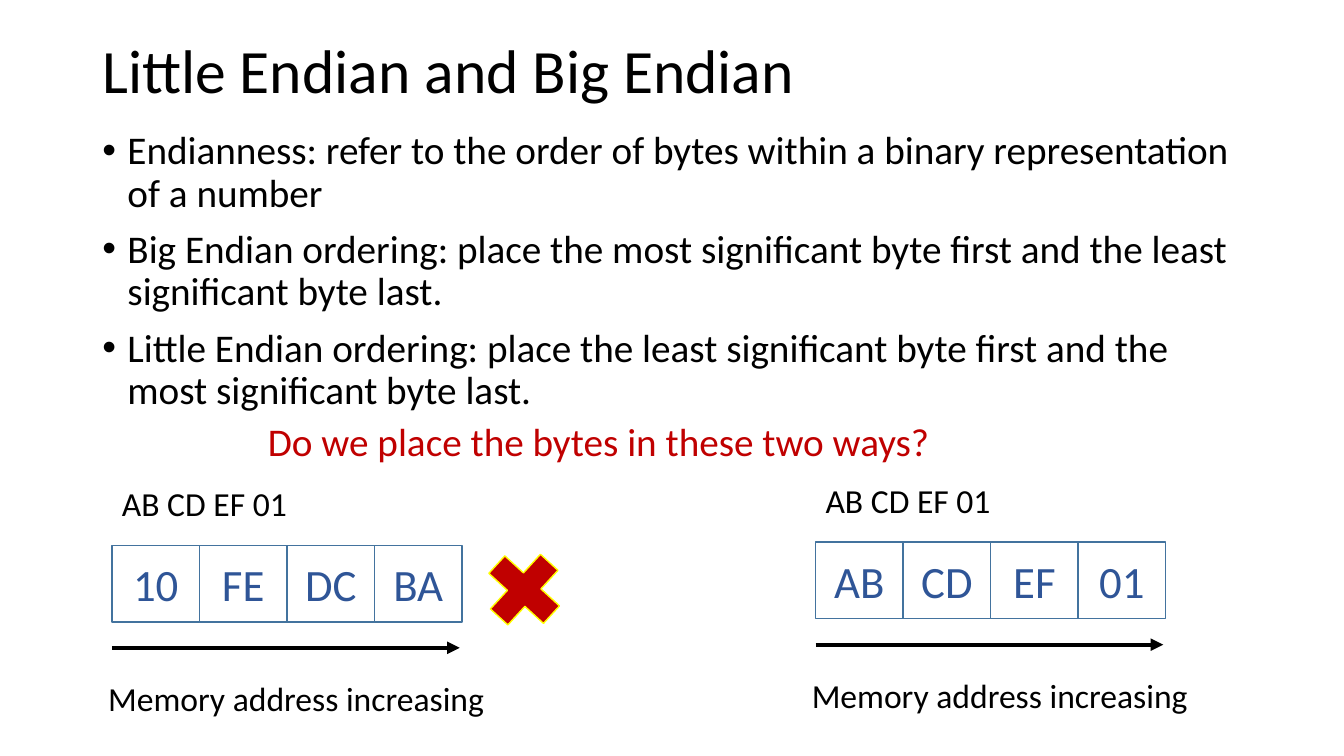
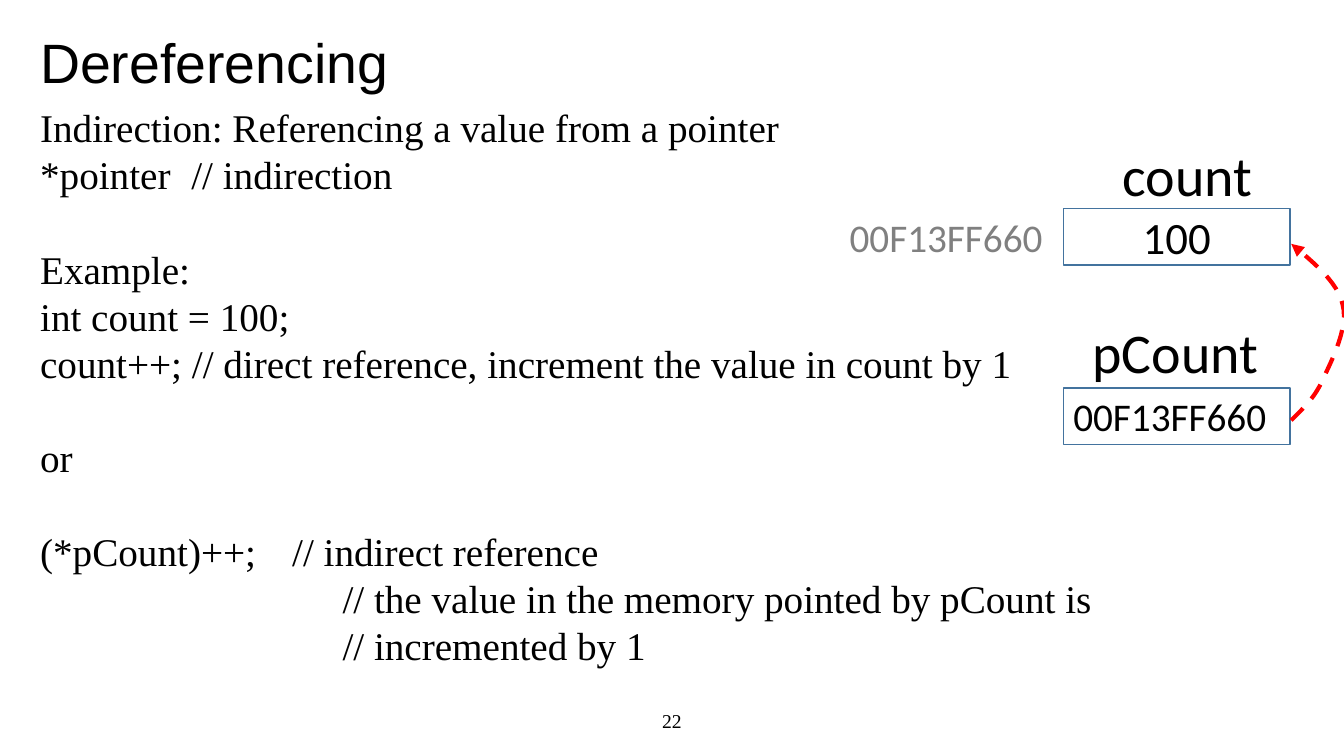
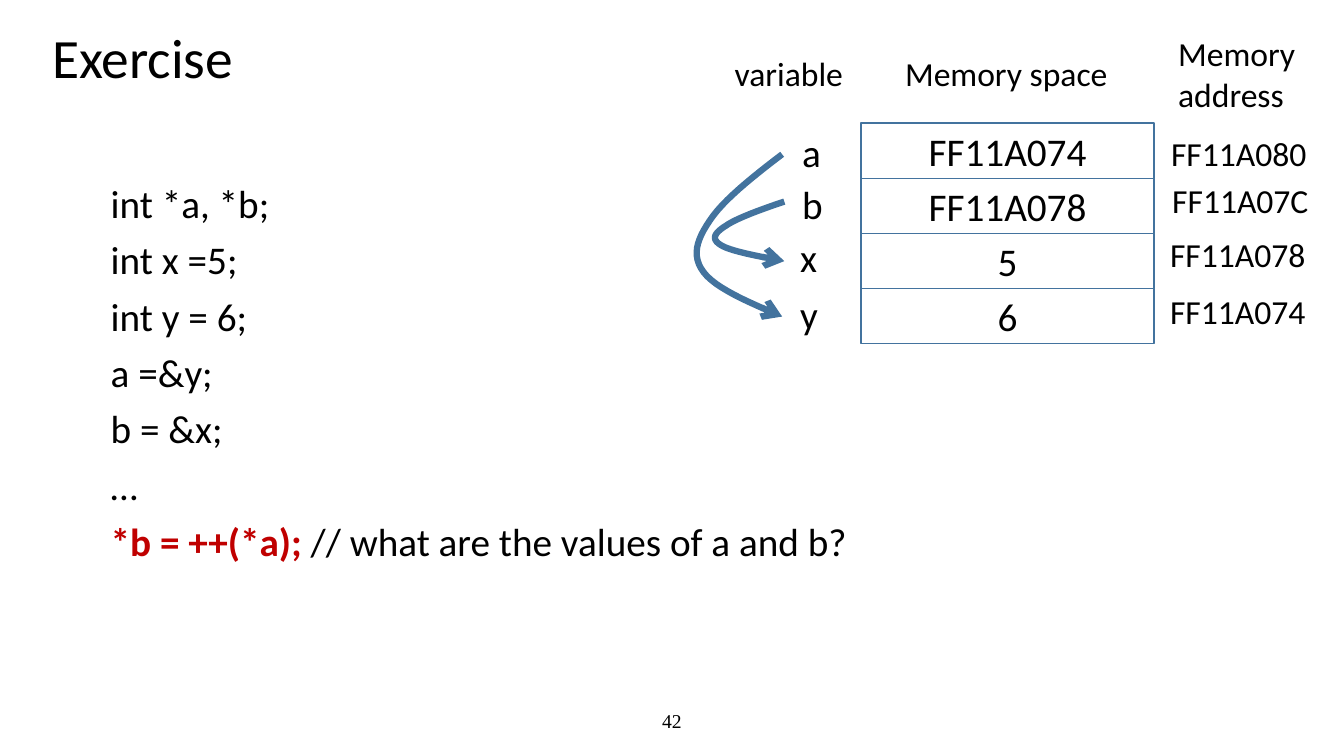
"""Build three slides on byte order, dereferencing and a pointer exercise."""
from lxml.etree import SubElement
from pptx import Presentation
from pptx.dml.color import RGBColor
from pptx.enum.dml import MSO_LINE
from pptx.enum.shapes import MSO_CONNECTOR, MSO_SHAPE
from pptx.enum.text import MSO_ANCHOR, MSO_AUTO_SIZE, PP_ALIGN
from pptx.oxml.ns import qn
from pptx.util import Pt

BLACK = RGBColor(0x00, 0x00, 0x00)
WHITE = RGBColor(0xFF, 0xFF, 0xFF)
GRAY = RGBColor(0x80, 0x80, 0x80)
STEEL = RGBColor(0x43, 0x73, 0x9E)
BLUE = RGBColor(0x2F, 0x55, 0x97)
DARK_RED = RGBColor(0xC0, 0x00, 0x00)
RED = RGBColor(0xFF, 0x00, 0x00)
YELLOW = RGBColor(0xFF, 0xFF, 0x00)
SANS, SERIF = "Calibri", "Times New Roman"

ENDIAN_POINTS = [
    "Endianness: refer to the order of bytes within a binary representation of a number",
    "Big Endian ordering: place the most significant byte first and the least significant byte last.",
    "Little Endian ordering: place the least significant byte first and the most significant byte last.",
]
ENDIAN_QUESTION = "Do we place the bytes in these two ways?"
BYTE_ROWS = [
    (80, 389.5, ["10", "FE", "DC", "BA"]),
    (582.6, 387.3, ["AB", "CD", "EF", "01"]),
]

LINE_PITCH = 33.6
COMMENT_INDENT = 216
DEREFERENCE_LINES = [
    ("Indirection: Referencing a value from a pointer", 0, 0),
    ("*pointer\t// indirection", 0, 0),
    ("Example:", 1, 0),
    ("int count = 100;", 0, 0),
    ("count++; // direct reference, increment the value in count by 1", 0, 0),
    ("or", 1, 0),
    ("(*pCount)++; \t// indirect reference", 1, 0),
    ("// the value in the memory pointed by pCount is", 0, COMMENT_INDENT),
    ("// incremented by 1", 0, COMMENT_INDENT),
]
POINTER_LABELS = [
    ("count", (794.9, 97.2, 108, 55.4), 40, BLACK),
    ("00F13FF660", (599.8, 149, 154, 41), 28, GRAY),
    ("pCount", (773.3, 223.2, 134, 55.4), 40, BLACK),
]
POINTER_CURVE = [
    (922.3, 300.2), (931, 291.6), (939.6, 283.7), (945.4, 270), (951.8, 256.3),
    (963.4, 233.3), (959, 217.4), (955.4, 201.6), (938.9, 187.9), (922.3, 174.2),
]

CODE_LINES = ["int *a, *b;", "int x =5;", "int y = 6;", "a =&y;", "b = &x;", "…"]
QUESTION_CODE, QUESTION_COMMENT = "*b = ++(*a);", " // what are the values of a and b?"
MEMORY_HEADINGS = [
    (["variable"], (517.7, 34.6, 92.9, 36)),
    (["Memory space"], (639.4, 34.6, 160.6, 36)),
    (["Memory", "address"], (834.5, 20.2, 98.6, 65.5)),
]
MEMORY_ROWS = [
    ("a", (565.9, 87.8), "FF11A074", "FF11A080", (829.4, 91.4)),
    ("b", (565.9, 125.3), "FF11A078", "FF11A07C", (830.2, 125.3)),
    ("x", (564.5, 163.4), "5", "FF11A078", (828.7, 163.4)),
    ("y", (564.5, 203.8), "6", "FF11A074", (828.7, 204.5)),
]
LINK_CURVES = [
    [(558.7, 110.2), (537.1, 126.7), (516.2, 143.3), (506.9, 157.7), (497.5, 171.4),
     (493.9, 182.9), (502.6, 194.4), (511.2, 205.9), (535, 216), (558.7, 226.1)],
    [(560.2, 144), (542.9, 149.8), (525.6, 156.2), (518.4, 161.3), (510.5, 166.3),
     (507.6, 170.6), (514.8, 175), (521.3, 179.3), (540.7, 182.9), (560.2, 186.5)],
]


def points(values):
    return [Pt(value) for value in values]


def format_text(text_frame, size, color, font):
    for paragraph in text_frame.paragraphs:
        for run in paragraph.runs:
            run.font.size = Pt(size)
            run.font.name = font
            run.font.color.rgb = color


def add_text(slide, lines, box, size, color=BLACK, font=SANS, wrap=True):
    text_frame = slide.shapes.add_textbox(*points(box)).text_frame
    text_frame.word_wrap = wrap
    text_frame.text = "\n".join(lines)
    format_text(text_frame, size, color, font)
    return text_frame


def add_label(slide, lines, box, size, color=BLACK):
    text_frame = add_text(slide, lines, box, size, color, wrap=False)
    text_frame.auto_size = MSO_AUTO_SIZE.SHAPE_TO_FIT_TEXT


def add_title(slide, text, box, size=39.6, font=SANS):
    text_frame = add_text(slide, [text], box, size, font=font)
    text_frame.vertical_anchor = MSO_ANCHOR.MIDDLE
    text_frame.paragraphs[0].line_spacing = 0.9


def add_page_number(slide, number):
    text_frame = add_text(slide, [number], (318, 500.4, 324, 28.8), 14, font=SERIF)
    text_frame.vertical_anchor = MSO_ANCHOR.MIDDLE
    text_frame.paragraphs[0].alignment = PP_ALIGN.CENTER


def space_body(text_frame):
    for paragraph in text_frame.paragraphs:
        paragraph.line_spacing = 0.9
        paragraph.space_before = Pt(10)


def add_bullet(paragraph):
    properties = paragraph._p.get_or_add_pPr()
    properties.set("marL", str(Pt(18)))
    properties.set("indent", str(-Pt(18)))
    SubElement(properties, qn("a:buFont"), typeface="Arial")
    SubElement(properties, qn("a:buChar"), char="•")


def add_cell(slide, text, box, size, color=BLACK, fill=WHITE, align=PP_ALIGN.CENTER):
    shape = slide.shapes.add_shape(MSO_SHAPE.RECTANGLE, *points(box))
    shape.shadow.inherit = False
    if fill is None:
        shape.fill.background()
    else:
        shape.fill.solid()
        shape.fill.fore_color.rgb = fill
    shape.line.color.rgb = STEEL
    shape.line.width = Pt(1)
    text_frame = shape.text_frame
    text_frame.text = text
    text_frame.vertical_anchor = MSO_ANCHOR.MIDDLE
    text_frame.paragraphs[0].alignment = align
    format_text(text_frame, size, color, SANS)


def style_arrow(shape, color, width, head, dash=None):
    shape.line.color.rgb = color
    shape.line.width = Pt(width)
    if dash:
        shape.line.dash_style = dash
    outline = shape._element.spPr.find(qn("a:ln"))
    SubElement(outline, qn("a:tailEnd"), type=head)


def add_straight_arrow(slide, left, top, length):
    ends = points((left, top, left + length, top))
    connector = slide.shapes.add_connector(MSO_CONNECTOR.STRAIGHT, *ends)
    style_arrow(connector, BLACK, 3, "triangle")
    SubElement(connector._element.spPr, qn("a:effectLst"))


def bezier_point(controls, t):
    weights = ((1 - t) ** 3, 3 * t * (1 - t) ** 2, 3 * t * t * (1 - t), t ** 3)
    return tuple(Pt(sum(w * c[axis] for w, c in zip(weights, controls))) for axis in (0, 1))


def add_curved_arrow(slide, controls, color, width, head, dash=None, steps=12):
    curve = [bezier_point(controls[first:first + 4], step / steps)
             for first in range(0, len(controls) - 1, 3)
             for step in range(1, steps + 1)]
    builder = slide.shapes.build_freeform(*points(controls[0]))
    builder.add_line_segments(curve, close=False)
    shape = builder.convert_to_shape()
    shape.shadow.inherit = False
    shape.fill.background()
    style_arrow(shape, color, width, head, dash)


def add_byte_row(slide, left, top, values):
    width, height = 62.5, 54.7
    add_label(slide, ["AB CD EF 01"], (left, top - 48.2, 133.2, 36), 24)
    for column, value in enumerate(values):
        add_cell(slide, value, (left + column * width, top, width, height), 32, BLUE)
    add_straight_arrow(slide, left, top + 73.2, 248.4)
    add_label(slide, ["Memory address increasing"], (left - 9.8, top + 91.2, 285.8, 36), 24)


def build_endian(slide):
    add_title(slide, "Little Endian and Big Endian", (66, 0, 828, 104.4), 44)
    body = add_text(slide, ENDIAN_POINTS, (66, 90, 828, 342.7), 28)
    space_body(body)
    for paragraph in body.paragraphs:
        add_bullet(paragraph)
    for row in BYTE_ROWS:
        add_byte_row(slide, *row)
    cross = slide.shapes.add_shape(MSO_SHAPE.MATH_PLUS, *points((338.4, 385.2, 72, 72)))
    cross.rotation = 42.5
    cross.shadow.inherit = False
    cross.fill.solid()
    cross.fill.fore_color.rgb = DARK_RED
    cross.line.color.rgb = YELLOW
    cross.line.width = Pt(1)
    add_label(slide, [ENDIAN_QUESTION], (184.3, 294.5, 492.5, 41), 28, DARK_RED)


def build_dereferencing(slide):
    add_page_number(slide, "22")
    add_title(slide, "Dereferencing", (21.6, 23, 612, 48.2), font="Arial")
    lines = [text for text, gap, indent in DEREFERENCE_LINES]
    body = add_text(slide, lines, (21.6, 70.6, 788.4, 414.7), 28, font=SERIF)
    for paragraph, (text, gap, indent) in zip(body.paragraphs, DEREFERENCE_LINES):
        paragraph.line_spacing = Pt(LINE_PITCH)
        paragraph.space_before = Pt(gap * LINE_PITCH)
        paragraph._p.get_or_add_pPr().set("marL", str(Pt(indent)))
    add_cell(slide, "100", (759.6, 149, 162, 40.3), 32, fill=None)
    add_cell(slide, "00F13FF660", (759.6, 277.2, 162, 40.3), 28, fill=None, align=PP_ALIGN.LEFT)
    for text, box, size, color in POINTER_LABELS:
        add_label(slide, [text], box, size, color)
    add_curved_arrow(slide, POINTER_CURVE, RED, 3, "triangle", MSO_LINE.DASH)


def build_exercise(slide):
    add_page_number(slide, "42")
    add_title(slide, "Exercise", (30.2, 20.2, 612, 45.4))
    lines = CODE_LINES + [QUESTION_CODE]
    body = add_text(slide, lines, (72, 128.2, 555.8, 349), 28)
    question = body.paragraphs[-1]
    question.add_run().text = QUESTION_COMMENT
    format_text(body, 28, BLACK, SANS)
    question.runs[0].font.bold = True
    question.runs[0].font.color.rgb = DARK_RED
    space_body(body)
    for heading, box in MEMORY_HEADINGS:
        add_label(slide, heading, box, 24)
    height = 39.4
    for row, (name, name_at, value, address, address_at) in enumerate(MEMORY_ROWS):
        add_cell(slide, value, (614.9, 88 + row * height, 209.5, height), 28)
        add_label(slide, [name], (*name_at, 28, 41), 28)
        add_label(slide, [address], (*address_at, 112.3, 36), 24)
    for curve in LINK_CURVES:
        add_curved_arrow(slide, curve, STEEL, 4.5, "arrow")


presentation = Presentation()
presentation.slide_width, presentation.slide_height = Pt(960), Pt(540)
blank_layout = presentation.slide_layouts[6]
for build in (build_endian, build_dereferencing, build_exercise):
    build(presentation.slides.add_slide(blank_layout))
presentation.save("out.pptx")
